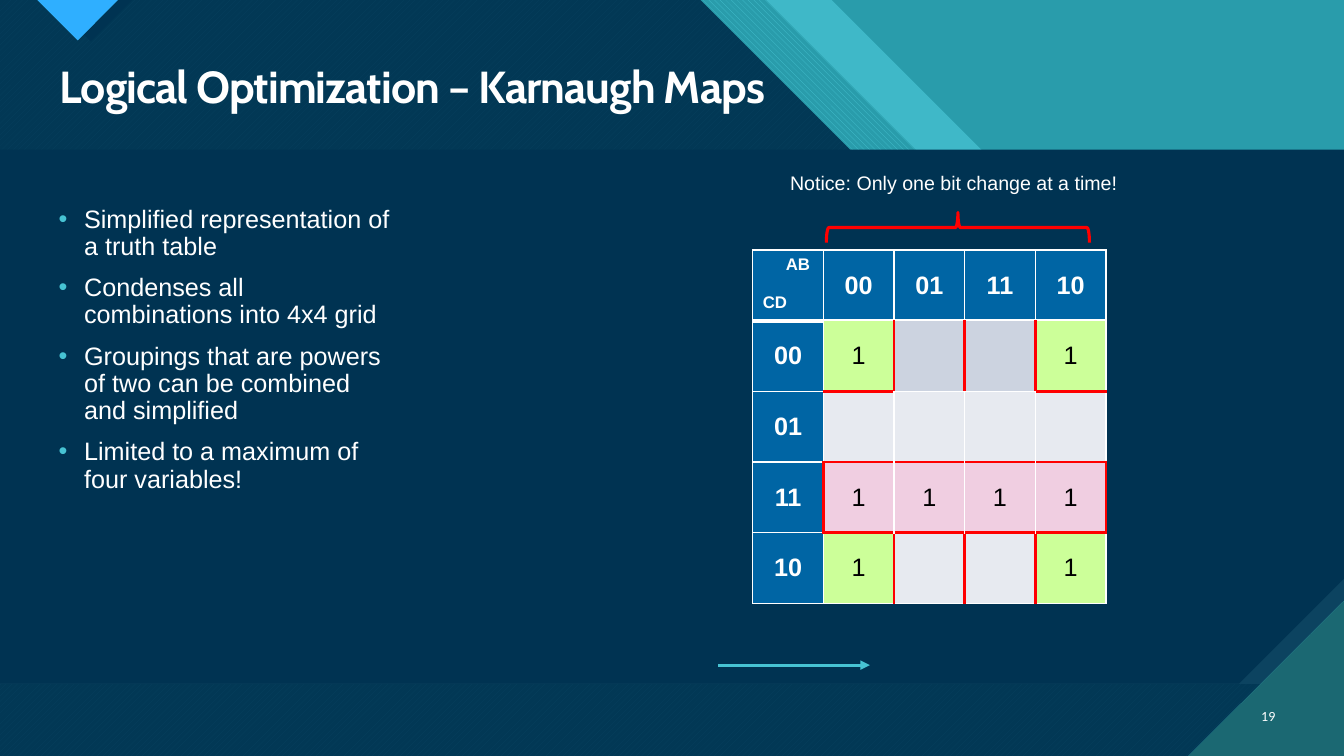
from lxml.etree import SubElement
from pptx import Presentation
from pptx.dml.color import RGBColor
from pptx.enum.dml import MSO_PATTERN
from pptx.enum.shapes import MSO_CONNECTOR, MSO_SHAPE
from pptx.enum.text import MSO_ANCHOR, PP_ALIGN
from pptx.oxml.ns import qn
from pptx.util import Cm, Pt

WIDTH, HEIGHT, CELL = 33.87, 19.05, 1.78
NAVY, AQUA, TEAL, DEEP_TEAL = "003352", "47C3D3", "299CAB", "1B6872"
BLUE, WHITE, BLACK, RED = "0065A4", "FFFFFF", "000000", "FF0000"
GREEN, PINK, GREY, PALE = "CCFF99", "F0CEE1", "CCD3E0", "E7EAF0"
GRAY_CODE = ["00", "01", "11", "10"]
VALUES = [["1", "", "", "1"], [""] * 4, ["1"] * 4, ["1", "", "", "1"]]
BANDS = [[band] * 4 for band in (GREY, PALE, GREY, PALE)]
CORNERS = [[GREEN, GREY, GREY, GREEN], BANDS[1], BANDS[2], [GREEN, PALE, PALE, GREEN]]
POINTS = [
    "Simplified representation of a truth table",
    "Condenses all combinations into 4x4 grid",
    "Groupings that are powers of two can be combined and simplified",
    "Limited to a maximum of four variables!",
]


def color(value):
    return RGBColor.from_string(value)


def diagonal_outline(edge, shoulder):
    knee = 7.54
    return [(0, 0), (edge, 0), (edge + knee, knee), (shoulder, knee),
            (WIDTH, knee + WIDTH - shoulder), (WIDTH, HEIGHT), (0, HEIGHT)]


class KarnaughPage:
    """Holds the style and the current slide, and draws each kind of element."""

    def __init__(self, deck, font="Arial"):
        self.page = deck.slides.add_slide(deck.slide_layouts[5])
        self.shapes = self.page.shapes
        self.font = font

    def background(self, fill):
        self.page.background.fill.solid()
        self.page.background.fill.fore_color.rgb = color(fill)

    def format(self, para, size, ink=WHITE, bold=False, font=None):
        for span in para.runs:
            span.font.name = font or self.font
            span.font.size = Pt(size)
            span.font.bold = bold
            span.font.color.rgb = color(ink)

    def outline(self, points, fill, back=None, pattern=None, opacity=None):
        start, *rest = [(Cm(x), Cm(y)) for x, y in points]
        builder = self.shapes.build_freeform(*start)
        builder.add_line_segments(rest, close=True)
        shape = builder.convert_to_shape()
        shape.shadow.inherit = False
        shape.line.fill.background()
        if pattern is None:
            shape.fill.solid()
        else:
            shape.fill.patterned()
            shape.fill.pattern = pattern
            shape.fill.back_color.rgb = color(back)
        shape.fill.fore_color.rgb = color(fill)
        if opacity:
            solid = shape.element.spPr.find(qn("a:solidFill"))
            SubElement(solid[0], qn("a:alpha"), val=str(opacity * 1000))

    def title(self, text, left, top, width, height):
        box = self.shapes.title
        self.shapes.element.append(box.element)
        box.left, box.top, box.width, box.height = map(Cm, (left, top, width, height))
        frame = box.text_frame
        frame.text = text
        frame.vertical_anchor = MSO_ANCHOR.MIDDLE
        para = frame.paragraphs[0]
        para.alignment = PP_ALIGN.LEFT
        para.line_spacing = 0.9
        self.format(para, 32, bold=True, font="Cabin")
        para.runs[0].font._element.set("spc", "-70")

    def text(self, text, left, top, width, height, size, font=None,
             align=PP_ALIGN.LEFT, anchor=MSO_ANCHOR.TOP):
        box = self.shapes.add_textbox(Cm(left), Cm(top), Cm(width), Cm(height))
        frame = box.text_frame
        frame.word_wrap = True
        frame.vertical_anchor = anchor
        frame.text = text
        for para in frame.paragraphs:
            para.alignment = align
            self.format(para, size, font=font)
        return frame

    def bullets(self, items, left, top, width, height):
        frame = self.text("\n".join(items), left, top, width, height, 18)
        for para in frame.paragraphs:
            para.line_spacing = 0.9
            para.space_before = Pt(10)
            properties = para._p.get_or_add_pPr()
            properties.set("marL", str(Cm(0.64)))
            properties.set("indent", str(-Cm(0.64)))
            bullet_color = SubElement(properties, qn("a:buClr"))
            SubElement(bullet_color, qn("a:srgbClr"), val=AQUA)
            SubElement(properties, qn("a:buFont"), typeface=self.font)
            SubElement(properties, qn("a:buChar"), char="•")

    def brace(self, left, top, width, height):
        shape = self.shapes.add_shape(MSO_SHAPE.LEFT_BRACE, Cm(left), Cm(top), Cm(width), Cm(height))
        shape.rotation = 90
        shape.shadow.inherit = False
        shape.fill.background()
        shape.line.color.rgb = color(RED)
        shape.line.width = Pt(2.25)

    def arrow(self, start, end, height):
        line = self.shapes.add_connector(MSO_CONNECTOR.STRAIGHT, Cm(start), Cm(height), Cm(end), Cm(height))
        line.line.color.rgb = color(AQUA)
        line.line.width = Pt(2.25)
        properties = line.element.spPr
        SubElement(properties.find(qn("a:ln")), qn("a:tailEnd"), type="triangle")
        SubElement(properties, qn("a:effectLst"))

    def border(self, cell, side, ink, weight):
        line = SubElement(cell._tc.get_or_add_tcPr(), qn(f"a:ln{side}"), w=str(Pt(weight)))
        solid = SubElement(line, qn("a:solidFill"))
        SubElement(solid, qn("a:srgbClr"), val=ink)

    def grid(self, left, top, texts, fills, red_tops=(), red_lefts=(), heavy_tops=()):
        rows, columns = len(texts), len(texts[0])
        table = self.shapes.add_table(rows, columns, Cm(left), Cm(top),
                                      Cm(columns * CELL), Cm(rows * CELL)).table
        for line in (*table.columns, ):
            line.width = Cm(CELL)
        for row in range(rows):
            table.rows[row].height = Cm(CELL)
            for column in range(columns):
                cell, fill = table.cell(row, column), fills[row][column]
                here, right, below = (row, column), (row, column + 1), (row + 1, column)
                for side, edge, reds in (("L", here, red_lefts), ("R", right, red_lefts),
                                         ("T", here, red_tops), ("B", below, red_tops)):
                    heavy = side in "TB" and edge[0] in heavy_tops
                    red = edge in reds
                    self.border(cell, side, RED if red else WHITE, 2.25 if red else 3 if heavy else 1)
                cell.fill.solid()
                cell.fill.fore_color.rgb = color(fill)
                cell.vertical_anchor = MSO_ANCHOR.MIDDLE
                cell.text_frame.text = texts[row][column]
                for para in cell.text_frame.paragraphs:
                    para.alignment = PP_ALIGN.CENTER
                    self.format(para, 18, WHITE if fill == BLUE else BLACK, fill == BLUE)
        return table

    def corner(self, cell):
        cell.vertical_anchor = MSO_ANCHOR.TOP
        across, down = cell.text_frame.paragraphs
        across._p.get_or_add_pPr().set("marL", str(Cm(0.58)))
        down.space_before = Pt(13.8)
        for para in (across, down):
            para.alignment = PP_ALIGN.LEFT
            self.format(para, 12, bold=True)

    def karnaugh_map(self, left, top):
        texts = [["AB\nCD"] + GRAY_CODE] + [[code] + row for code, row in zip(GRAY_CODE, VALUES)]
        fills = [[BLUE] * 5] + [[BLUE] + band for band in BANDS]
        table = self.grid(left, top, texts, fills, heavy_tops=(1,))
        self.corner(table.cell(0, 0))
        inner_left, inner_top = left + CELL, top + CELL
        self.grid(inner_left, inner_top, VALUES, CORNERS,
                  red_tops={(row, column) for row in (1, 3) for column in (0, 3)},
                  red_lefts={(row, column) for row in (0, 3) for column in (1, 2, 3)})
        self.grid(inner_left, inner_top + 2 * CELL, [VALUES[2]], [[PINK] * 4],
                  red_tops={(row, column) for row in (0, 1) for column in range(4)},
                  red_lefts={(0, 0), (0, 4)})

    def backdrop(self):
        self.background(AQUA)
        self.outline([(0, 0), (WIDTH, 0), (WIDTH, HEIGHT), (0, HEIGHT)], TEAL)
        self.outline(diagonal_outline(20.96, 31.34), AQUA, opacity=74)
        self.outline(diagonal_outline(19.3, 30.07), AQUA, TEAL, MSO_PATTERN.WIDE_DOWNWARD_DIAGONAL)
        dark = diagonal_outline(17.65, 28.4)
        self.outline(dark, AQUA, DEEP_TEAL, MSO_PATTERN.WIDE_UPWARD_DIAGONAL)
        self.outline(dark, NAVY, opacity=90)
        self.outline([(1.22, 0), (3.33, 0), (2.29, 1.04)], NAVY)
        self.outline([(0.94, 0), (2.97, 0), (1.96, 1.02)], "2FAFFF", DEEP_TEAL, MSO_PATTERN.DARK_HORIZONTAL)
        top, bottom, cut = 3.77, 17.23, 2.65
        self.outline([(0, top), (WIDTH, top), (WIDTH, bottom), (0, bottom)],
                     "0C4360", DEEP_TEAL, MSO_PATTERN.DARK_VERTICAL)
        self.outline([(0, top), (WIDTH, top), (WIDTH, bottom - cut), (WIDTH - cut, bottom), (0, bottom)], NAVY)
        self.outline([(29.95, HEIGHT), (WIDTH, HEIGHT), (WIDTH, 15.14)],
                     DEEP_TEAL, AQUA, MSO_PATTERN.DARK_HORIZONTAL)


def main():
    deck = Presentation()
    deck.slide_width, deck.slide_height = Cm(WIDTH), Cm(HEIGHT)
    slide = KarnaughPage(deck)
    slide.backdrop()
    slide.title("Logical Optimization – Karnaugh Maps", 1.25, 1.5, 31.15, 1.5)
    slide.text("19", 31.27, 17.54, 1.12, 1.02, 10, "Calibri", PP_ALIGN.RIGHT, MSO_ANCHOR.MIDDLE)
    slide.bullets(POINTS, 1.23, 5.08, 8.97, 12.09)
    slide.text("Notice: Only one bit change at a time!", 19.66, 4.18, 8.97, 0.86, 14)
    slide.brace(23.76, 2.42, 0.76, 6.63)
    slide.karnaugh_map(18.97, 6.3)
    slide.arrow(18.1, 21.92, 16.76)
    deck.save("out.pptx")


if __name__ == "__main__":
    main()
